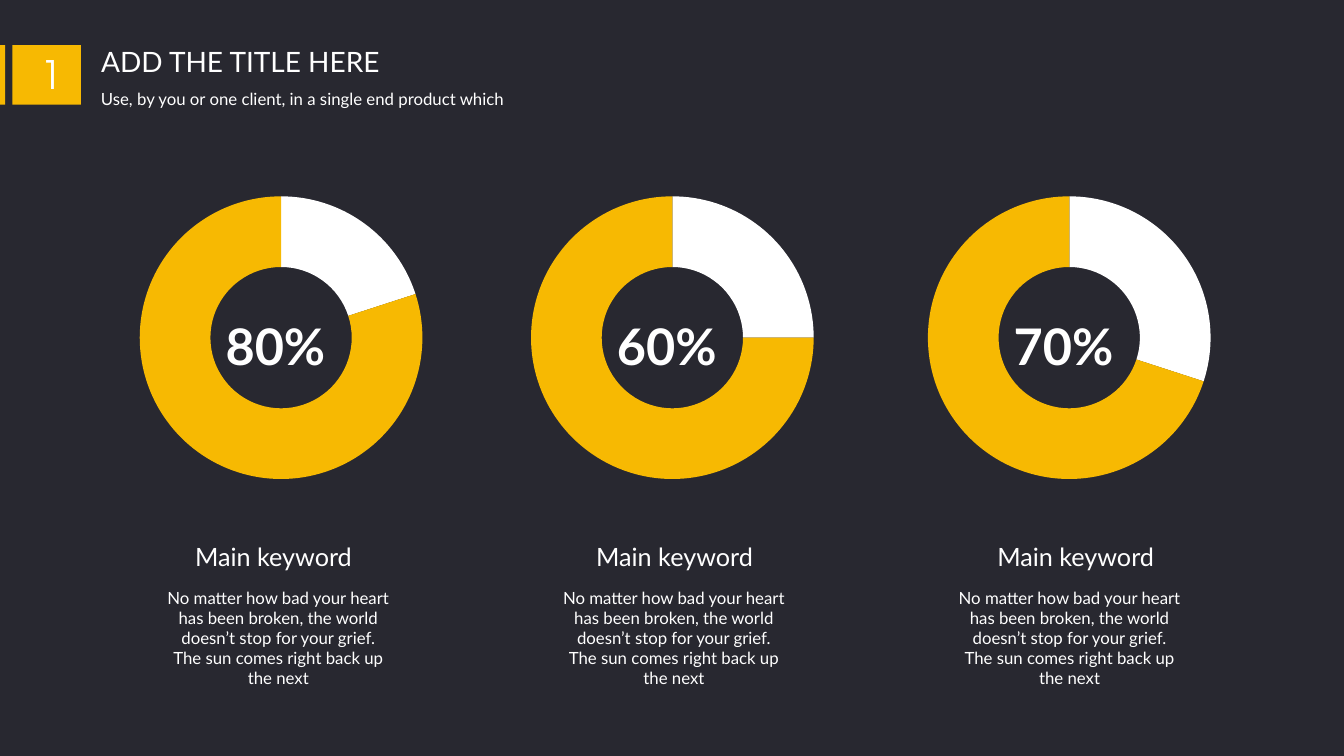
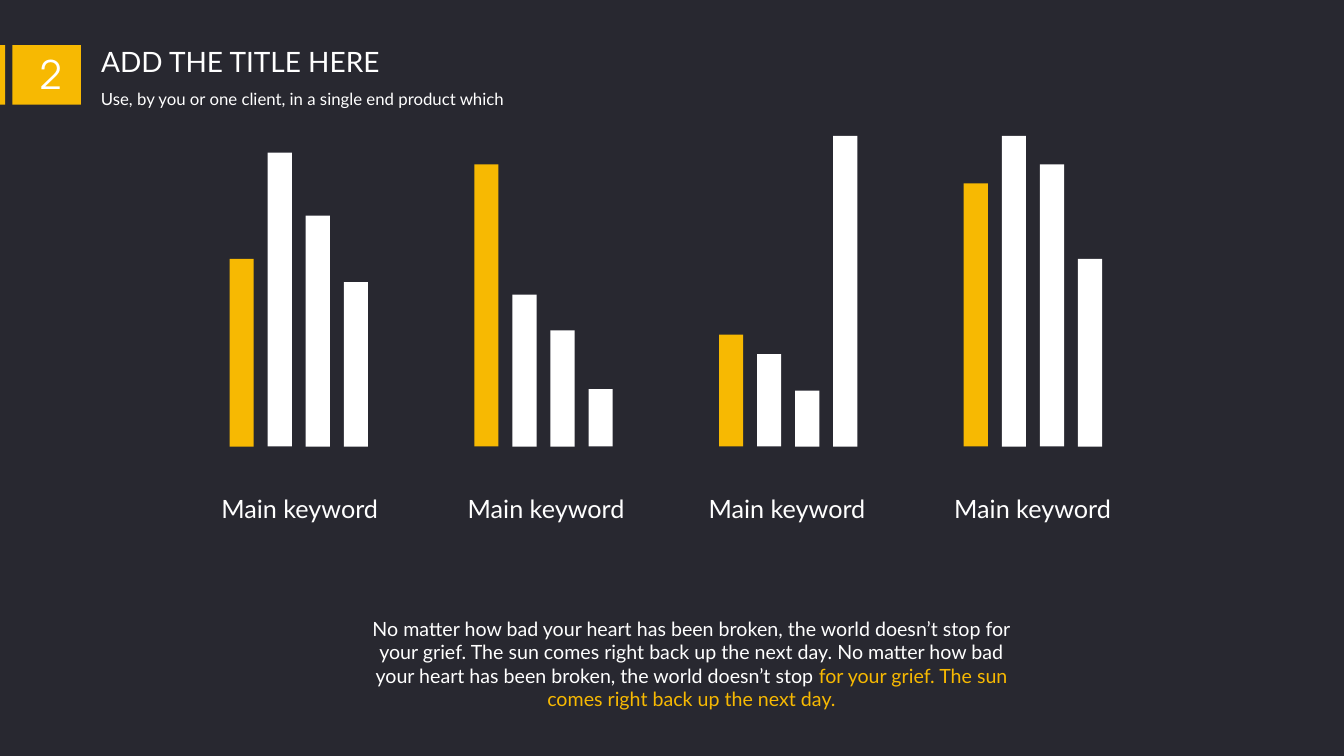
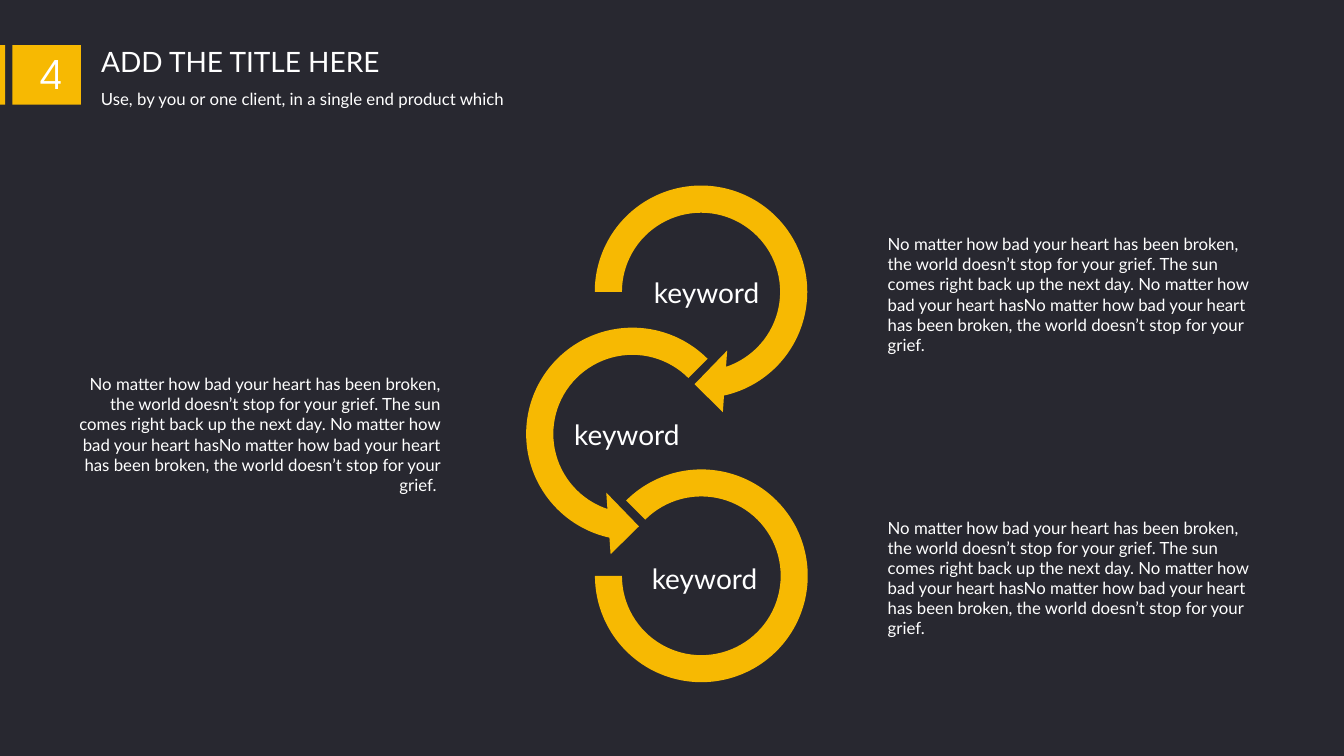
from pptx import Presentation
from pptx.chart import data as chart_data
from pptx.dml import color
from pptx.enum import chart as chart_enum, shapes, text
from pptx.util import Pt

COLORS = {"dark": "282830", "yellow": "F7B902", "white": "FFFFFF", "black": "000000"}
BODY_FONT = "Lato"
NUMBER_FONT = "TeX Gyre Adventor"
LEFT, CENTER, RIGHT = text.PP_ALIGN.LEFT, text.PP_ALIGN.CENTER, text.PP_ALIGN.RIGHT

OPENING = "No matter how bad your heart has been broken, the world doesn’t stop "
GRIEF = "for your grief."
SUNRISE = " The sun comes right back up the next"
SHORT_TEXT = OPENING + GRIEF + SUNRISE
LONG_TEXT = SHORT_TEXT + " day. No matter how bad your heart has" + OPENING + GRIEF


def rgb(name):
    return color.RGBColor.from_string(COLORS[name])


def write(shape, runs, size, align=LEFT, font=BODY_FONT, bold=False):
    frame = shape.text_frame
    frame.word_wrap = True
    frame.auto_size = text.MSO_AUTO_SIZE.NONE
    frame.vertical_anchor = text.MSO_ANCHOR.TOP
    paragraph = frame.paragraphs[0]
    paragraph.alignment = align
    for content, color_name in runs:
        run = paragraph.add_run()
        run.text = content
        run.font.name = font
        run.font.size = Pt(size)
        run.font.bold = bold
        run.font.color.rgb = rgb(color_name)


def place(shape, left, top, width, height):
    shape.left, shape.top = Pt(left), Pt(top)
    shape.width, shape.height = Pt(width), Pt(height)


def add_text(slide, box, content, size, **style):
    shape = slide.shapes.add_textbox(*map(Pt, box))
    runs = [(content, "white")] if isinstance(content, str) else content
    write(shape, runs, size, **style)


def add_block(slide, kind, box, color_name="yellow", adjustments=()):
    shape = slide.shapes.add_shape(kind, *map(Pt, box))
    shape.shadow.inherit = False
    shape.fill.solid()
    shape.fill.fore_color.rgb = rgb(color_name)
    shape.line.fill.background()
    for index, value in enumerate(adjustments):
        shape.adjustments[index] = value


def add_doughnut(slide, box, values):
    data = chart_data.CategoryChartData()
    data.categories = ["1", "2"]
    data.add_series("Series 1", values)
    frame = slide.shapes.add_chart(chart_enum.XL_CHART_TYPE.DOUGHNUT, *map(Pt, box), data)
    chart = frame.chart
    chart.has_legend = False
    chart.has_title = False
    chart.font.name = "Calibri"
    chart.font.size = Pt(10)
    chart.font.color.rgb = rgb("black")
    plot = chart.plots[0]
    plot.vary_by_categories = True
    for hole in chart.element.xpath(".//c:holeSize"):
        hole.set("val", "75")
    for index, color_name in enumerate(("white", "yellow")):
        point = plot.series[0].points[index]
        point.format.fill.solid()
        point.format.fill.fore_color.rgb = rgb(color_name)
        point.format.line.fill.background()


def add_titled_slide(presentation, number):
    slide = presentation.slides.add_slide(presentation.slide_layouts[5])
    title = slide.shapes.title
    place(title, 65, 28.5, 285, 31.5)
    write(title, [("ADD THE TITLE HERE", "white")], 20)
    add_text(slide, (65, 59.5, 480, 22),
             "Use, by you or one client, in a single end product which", 12)
    for left, width in ((0, 3.6), (8.8, 49)):
        add_block(slide, shapes.MSO_SHAPE.RECTANGLE, (left, 32.3, width, 42.5))
    add_text(slide, (22, 32.3, 21.6, 42.5), number, 28, align=CENTER, font=NUMBER_FONT)
    return slide


def build_doughnuts(presentation):
    slide = add_titled_slide(presentation, "1")
    columns = (
        (34.5, (20, 80), "80%"),
        (314, (25, 75), "60%"),
        (597.5, (30, 70), "70%"),
    )
    for index, (left, values, percent) in enumerate(columns):
        add_doughnut(slide, (left, 130.3, 332.6, 221.8), values)
        add_text(slide, (left + 119.5, 221.8, 96, 51), percent, 36, bold=True)
        add_text(slide, (128 + 286.5 * index, 383, 130.5, 29), "Main keyword", 18, align=RIGHT)
        add_text(slide, (112.3 + 282.6 * index, 416, 173, 80), SHORT_TEXT, 12, align=CENTER)


def build_bars(presentation):
    slide = add_titled_slide(presentation, "2")
    baseline = 319
    groups = (
        (151, (134, 210, 165, 117.5)),
        (327, (201.5, 108.5, 83, 41)),
        (499, (80, 66, 40, 222)),
        (674.5, (188, 222, 201.5, 134)),
    )
    for group, (label_left, heights) in enumerate(groups):
        for bar, height in enumerate(heights):
            left = 164 + 174.8 * group + 27.2 * bar
            add_block(slide, shapes.MSO_SHAPE.RECTANGLE,
                      (left, baseline - height, 17.3, height), "white" if bar else "yellow")
        add_text(slide, (label_left, 348.5, 132, 29), "Main keyword", 18)
    closing = [(SHORT_TEXT + " day. " + OPENING, "white"),
               (GRIEF + SUNRISE + " day.", "yellow")]
    add_text(slide, (254, 437, 480, 92), closing, 14, align=CENTER)


def build_loops(presentation):
    slide = add_titled_slide(presentation, "4")
    kinds = shapes.MSO_SHAPE
    loops = (
        (kinds.CIRCULAR_ARROW, (412.5, 120.2, 176.5, 176.5), (0.11, 11.42, 45, 108, 0.125)),
        (kinds.LEFT_CIRCULAR_ARROW, (363.5, 221.7, 176.5, 176.5), (0.11, 11.42, 63, 189, 0.125)),
        (kinds.BLOCK_ARC, (425, 335.3, 152, 152), (135, 108, 0.127)),
    )
    for kind, box, adjustments in loops:
        add_block(slide, kind, box, adjustments=adjustments)
    for left, top in ((460, 193), (403, 295), (458.5, 397.5)):
        add_text(slide, (left, top, 95, 31.5), "keyword", 20)
    for left, top, content, align in (
        (627, 163.5, LONG_TEXT, LEFT),
        (41, 263.5, LONG_TEXT + " ", RIGHT),
        (627, 366, LONG_TEXT, LEFT),
    ):
        add_text(slide, (left, top, 281, 94), content, 12, align=align)


def main():
    presentation = Presentation()
    presentation.slide_width, presentation.slide_height = Pt(960), Pt(540)
    background = presentation.slide_master.background.fill
    background.solid()
    background.fore_color.rgb = rgb("dark")
    build_doughnuts(presentation)
    build_bars(presentation)
    build_loops(presentation)
    presentation.save("out.pptx")


if __name__ == "__main__":
    main()
